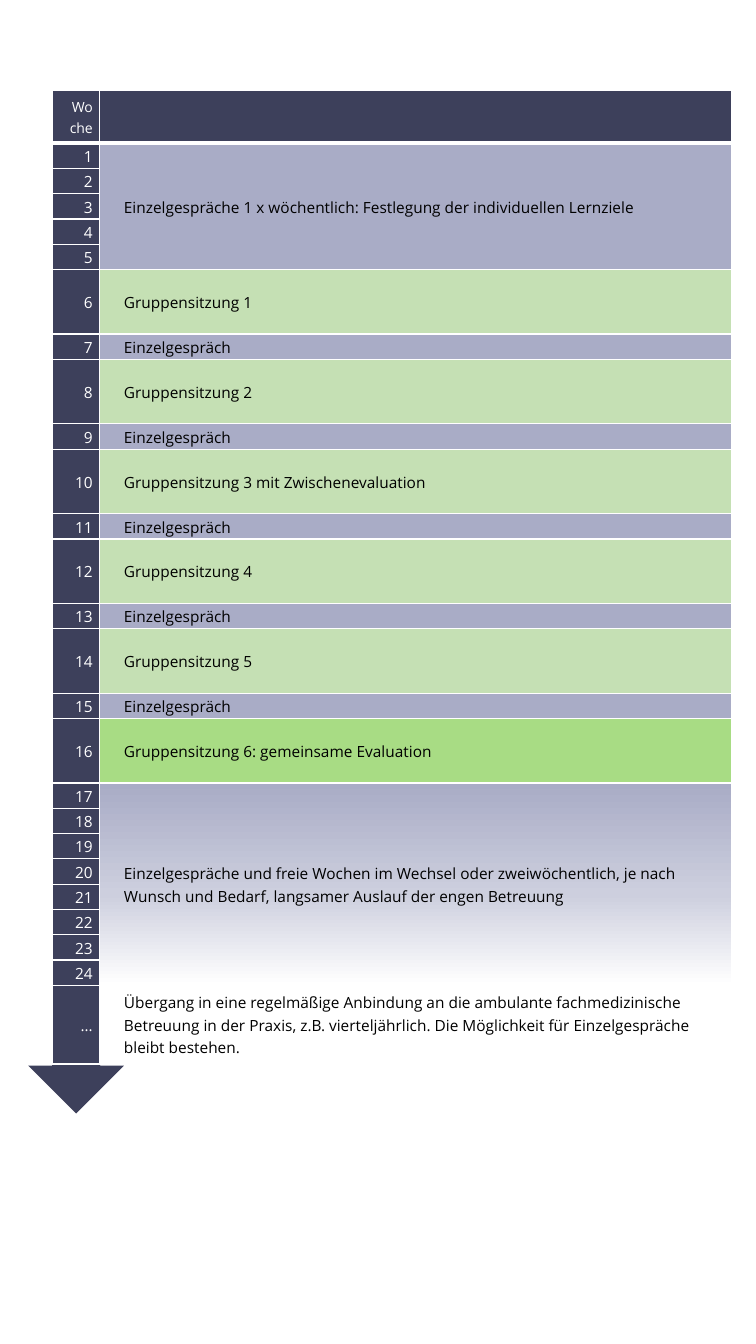
from dataclasses import dataclass

from lxml import etree
from pptx import Presentation
from pptx.dml.color import RGBColor
from pptx.enum.shapes import MSO_SHAPE
from pptx.enum.text import MSO_ANCHOR, PP_ALIGN
from pptx.oxml.ns import qn
from pptx.util import Inches, Pt

DOWN_ARROW = MSO_SHAPE.DOWN_ARROW
MIDDLE = MSO_ANCHOR.MIDDLE
LEFT, RIGHT = PP_ALIGN.LEFT, PP_ALIGN.RIGHT

FONT = "Open Sans"
COLORS = {
    "navy": "3D405B",
    "lavender": "A9ACC6",
    "mist": "CDCFDE",
    "green": "C5E0B4",
    "bright_green": "A8DC84",
    "white": "FFFFFF",
    "black": "000000",
}
FADE_STOPS = ((0, "white"), (45, "mist"), (100, "lavender"))

# Grid in inches
TABLE_LEFT, TABLE_TOP, TABLE_HEIGHT = 0.52, 0.9, 9.66
WEEK_COL, PHASE_COL = 0.47, 6.27
HEADER_ROW, GROUP_ROW, OPEN_ROW = 0.52, 0.64, 0.78
ARROW_WIDTH = 2 * WEEK_COL + 0.01
ARROW_HEIGHT = TABLE_HEIGHT + ARROW_WIDTH / 2 + 0.01


@dataclass(frozen=True)
class Phase:
    text: str
    weeks: tuple[str, ...]
    fill: str
    row_height: float | None = None  # None: a share of the remaining height


def week_range(first: int, last: int) -> tuple[str, ...]:
    return tuple(str(week) for week in range(first, last + 1))


def build_phases() -> list[Phase]:
    phases = [Phase("Einzelgespräche 1 x wöchentlich: Festlegung der individuellen Lernziele",
                    week_range(1, 5), "lavender")]
    suffixes = {3: " mit Zwischenevaluation", 6: ": gemeinsame Evaluation"}
    for number in range(1, 7):
        week = 4 + 2 * number
        if number > 1:
            phases.append(Phase("Einzelgespräch", (str(week - 1),), "lavender"))
        fill = "bright_green" if number == 6 else "green"
        phases.append(Phase(f"Gruppensitzung {number}{suffixes.get(number, '')}",
                            (str(week),), fill, GROUP_ROW))
    phases.append(Phase(
        "Einzelgespräche und freie Wochen im Wechsel oder zweiwöchentlich, je nach "
        "Wunsch und Bedarf, langsamer Auslauf der engen Betreuung",
        week_range(17, 24), "fade"))
    phases.append(Phase(
        "Übergang in eine regelmäßige Anbindung an die ambulante fachmedizinische "
        "Betreuung in der Praxis, z.B. vierteljährlich. Die Möglichkeit für "
        "Einzelgespräche bleibt bestehen.", ("…",), "white", OPEN_ROW))
    return phases


def rgb(name: str) -> RGBColor:
    return RGBColor.from_string(COLORS[name])


def set_borders(cell, top: float = 1, bottom: float = 1) -> None:
    tcPr = cell._tc.get_or_add_tcPr()
    sides = (("a:lnL", 1), ("a:lnR", 1), ("a:lnT", top), ("a:lnB", bottom))
    for i, (tag, width) in enumerate(sides):
        ln = etree.Element(qn(tag), w=str(Pt(width)))
        fill = etree.SubElement(ln, qn("a:solidFill"))
        etree.SubElement(fill, qn("a:srgbClr"), val=COLORS["white"])
        tcPr.insert(i, ln)


def fill_cell(cell, fill: str | None) -> None:
    """Fill with a named colour, the fade, or nothing."""
    if fill is None:
        cell.fill.background()
    elif fill == "fade":
        cell.fill.gradient()
        cell.fill.gradient_angle = 90
        stops = cell._tc.tcPr.find(qn("a:gradFill")).find(qn("a:gsLst"))
        stops.clear()
        for position, color in FADE_STOPS:
            gs = etree.SubElement(stops, qn("a:gs"), pos=str(position * 1000))
            etree.SubElement(gs, qn("a:srgbClr"), val=COLORS[color])
    else:
        cell.fill.solid()
        cell.fill.fore_color.rgb = rgb(fill)


def write_cell(cell, text: str, color: str, align, size: float,
               margins: tuple[float, float]) -> None:
    cell.vertical_anchor = MIDDLE
    cell.margin_left, cell.margin_right = (Inches(m) for m in margins)
    cell.margin_top = cell.margin_bottom = 0
    p = cell.text_frame.paragraphs[0]
    p.text = text
    p.alignment = align
    p.line_spacing = 1.07
    p.space_after = Pt(8)
    for r in p.runs:
        r.font.name = FONT
        r.font.size = Pt(size)
        r.font.color.rgb = rgb(color)


def write_week(cell, text: str, size: float = 11) -> None:
    write_cell(cell, text, "white", RIGHT, size, (0.07, 0.07))
    fill_cell(cell, None)


def add_time_arrow(s) -> None:
    """The arrow shows through the unfilled week column."""
    left = TABLE_LEFT + (WEEK_COL - ARROW_WIDTH) / 2
    sp = s.shapes.add_shape(DOWN_ARROW, Inches(left), Inches(TABLE_TOP),
                            Inches(ARROW_WIDTH), Inches(ARROW_HEIGHT))
    sp.shadow.inherit = False
    sp.fill.solid()
    sp.fill.fore_color.rgb = rgb("navy")
    sp.line.fill.background()


def add_schedule(s, phases: list[Phase]) -> None:
    heights = [HEADER_ROW] + [ph.row_height for ph in phases for _ in ph.weeks]
    week_row = (TABLE_HEIGHT - sum(h for h in heights if h)) / heights.count(None)
    table = s.shapes.add_table(
        len(heights), 2, Inches(TABLE_LEFT), Inches(TABLE_TOP),
        Inches(WEEK_COL + PHASE_COL), Inches(TABLE_HEIGHT)).table
    table.first_row = table.horz_banding = False
    for column, width in zip(table.columns, (WEEK_COL, PHASE_COL)):
        column.width = Inches(width)
    for row, height in zip(table.rows, heights):
        row.height = Inches(height or week_row)

    write_week(table.cell(0, 0), "Wo\nche", 10)
    fill_cell(table.cell(0, 1), "navy")

    top = 1
    for phase in phases:
        last = top + len(phase.weeks) - 1
        for i, week in enumerate(phase.weeks, top):
            write_week(table.cell(i, 0), week)
        cell = table.cell(top, 1)
        if last > top:
            cell.merge(table.cell(last, 1))
        write_cell(cell, phase.text, "black", LEFT, 11, (0.24, 0.12))
        fill_cell(cell, phase.fill)
        top = last + 1

    for i, row in enumerate(table.rows):
        for cell in row.cells:
            set_borders(cell, top=3 if i == 1 else 1, bottom=3 if i == 0 else 1)


def main() -> None:
    prs = Presentation()
    prs.slide_width, prs.slide_height = Inches(7.5), Inches(13.33)
    s = prs.slides.add_slide(prs.slide_layouts[6])
    add_time_arrow(s)
    add_schedule(s, build_phases())
    prs.save("out.pptx")


if __name__ == "__main__":
    main()
